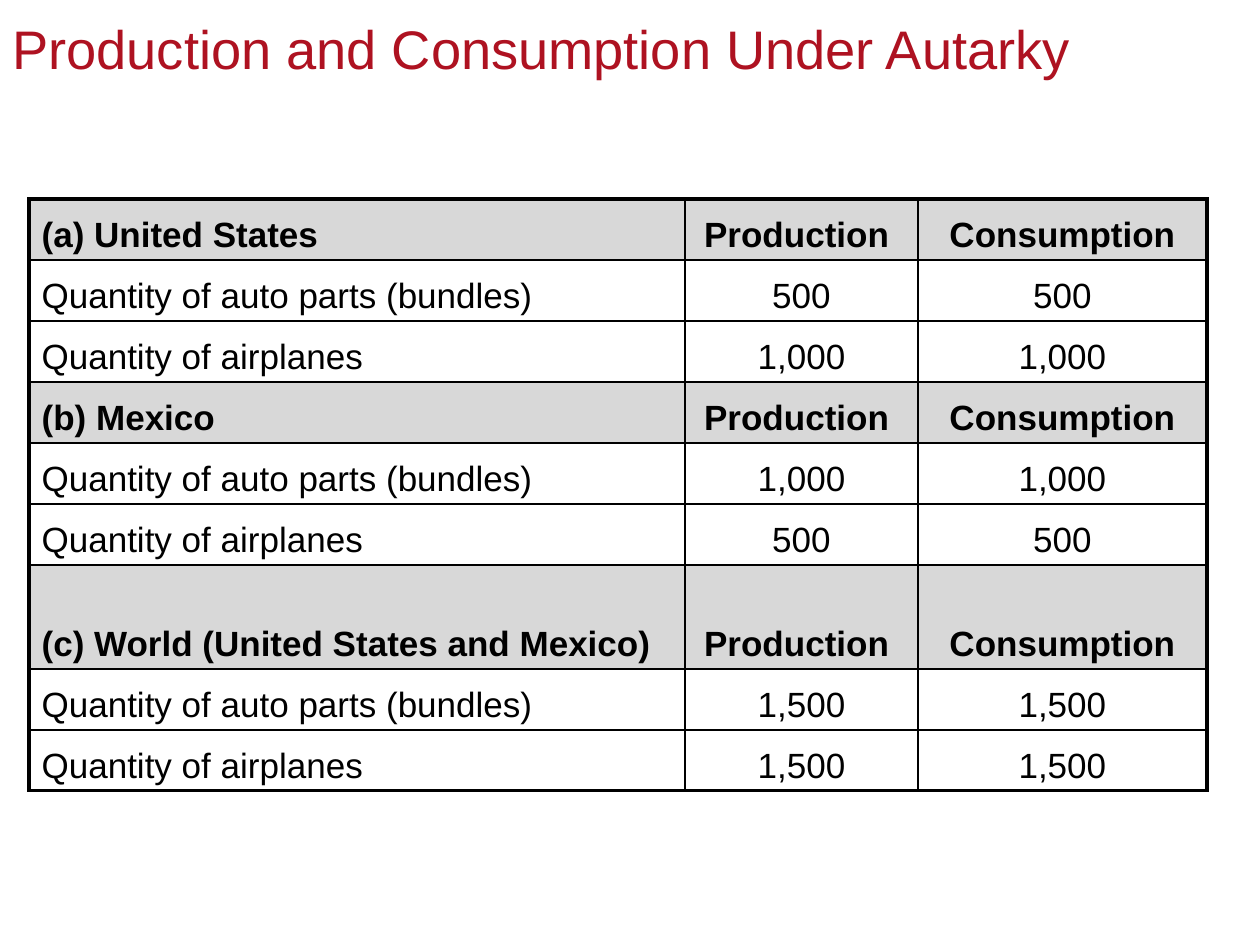
import pptx
import pptx.util
import pptx.dml.color
import pptx.enum.text
import pptx.oxml
import pptx.oxml.ns

SCALE = 914400 / 126
FONT = "Arial"
COLORS = {"title": "AE1221", "text": "000000", "line": "000000",
          "head": "B2B2B2", "body": "FFFFFF"}
ALIGN = pptx.enum.text.PP_ALIGN
ANCHOR = pptx.enum.text.MSO_ANCHOR

PLACES = [
    ("(a) United States", "500", "1,000"),
    ("(b) Mexico", "1,000", "500"),
    ("(c) World (United States and Mexico)", "1,500", "1,500"),
]
COLS = [656, 233, 289]
ROW = 61
TALL = 104


def px(n):
    return pptx.util.Emu(round(n * SCALE))


def color(name):
    return pptx.dml.color.RGBColor.from_string(COLORS[name])


def style(font, size, name, bold=False):
    font.name = FONT
    font.size = pptx.util.Pt(size)
    font.bold = bold
    font.color.rgb = color(name)


def add_title(slide, box, text):
    frame = slide.shapes.add_textbox(*map(px, box)).text_frame
    frame.word_wrap = True
    frame.vertical_anchor = ANCHOR.MIDDLE
    para = frame.paragraphs[0]
    para.text = text
    style(para.font, 31, "title")


def add_edge(cell, side, width):
    ns = pptx.oxml.ns.nsdecls("a")
    cell._tc.get_or_add_tcPr().append(pptx.oxml.parse_xml(
        f'<a:ln{side} {ns} w="{pptx.util.Pt(width)}"><a:solidFill>'
        f'<a:srgbClr val="{COLORS["line"]}"/></a:solidFill></a:ln{side}>'))


def add_fill(cell, name):
    cell.fill.solid()
    cell.fill.fore_color.rgb = color(name)
    tint = cell._tc.tcPr.find(".//" + pptx.oxml.ns.qn("a:solidFill") + "[last()]/"
                              + pptx.oxml.ns.qn("a:srgbClr"))
    for fill in cell._tc.tcPr.findall(pptx.oxml.ns.qn("a:solidFill")):
        tint = fill[0]
    ns = pptx.oxml.ns.nsdecls("a")
    tint.append(pptx.oxml.parse_xml(f'<a:alpha {ns} val="50000"/>'))


def fill_cell(cell, text, head, align, outer):
    for side, edge in outer.items():
        add_edge(cell, side, 2.25 if edge else 1)
    add_fill(cell, "head" if head else "body")
    cell.vertical_anchor = ANCHOR.BOTTOM
    para = cell.text_frame.paragraphs[0]
    para.text = text
    para.alignment = align
    para.line_spacing = 0.8
    style(para.font, 20, "text", head)


def add_grid(slide, box):
    rows = []
    for place, parts, planes in PLACES:
        rows += [(place, "Production ", "Consumption"),
                 ("Quantity of auto parts (bundles)", parts, parts),
                 ("Quantity of airplanes", planes, planes)]
    table = slide.shapes.add_table(len(rows), len(COLS), *map(px, box)).table
    table.first_row = table.horz_banding = False
    for col, width in zip(table.columns, COLS):
        col.width = px(width)
    for r, texts in enumerate(rows):
        table.rows[r].height = px(TALL if r == 6 else ROW)
        for c, text in enumerate(texts):
            outer = {"L": c == 0, "R": c == len(COLS) - 1,
                     "T": r == 0, "B": r == len(rows) - 1}
            fill_cell(table.cell(r, c), text, r % 3 == 0,
                      ALIGN.CENTER if c else ALIGN.LEFT, outer)


def main():
    deck = pptx.Presentation()
    deck.slide_width, deck.slide_height = px(1260), px(945)
    slide = deck.slides.add_slide(deck.slide_layouts[6])
    add_title(slide, (0, 9, 1235, 77), "Production and Consumption Under Autarky")
    add_grid(slide, (29, 199, sum(COLS), 8 * ROW + TALL))
    deck.save("out.pptx")


if __name__ == "__main__":
    main()
